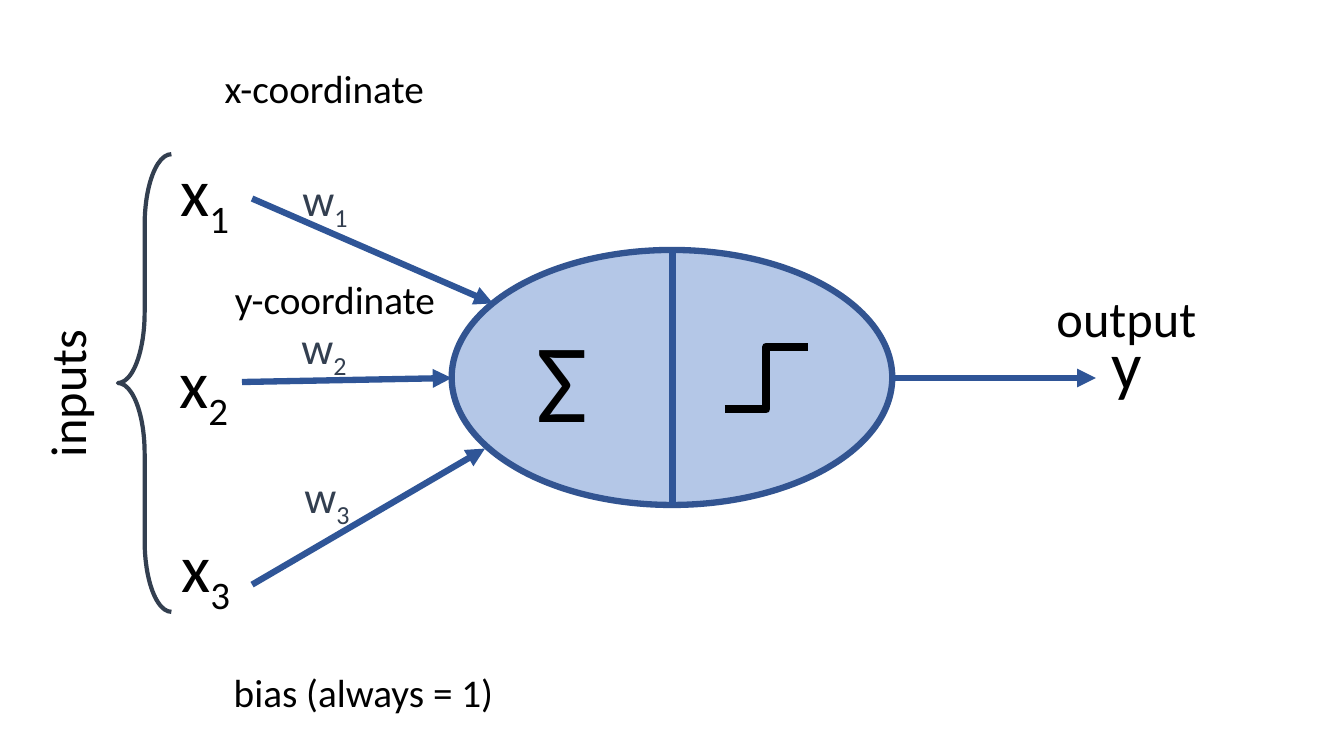
from pptx import Presentation
from pptx.dml.color import RGBColor
from pptx.enum.shapes import MSO_CONNECTOR, MSO_SHAPE
from pptx.enum.text import MSO_AUTO_SIZE
from pptx.oxml.ns import qn
from pptx.util import Pt
from lxml import etree

STRAIGHT, ELBOW = MSO_CONNECTOR.STRAIGHT, MSO_CONNECTOR.ELBOW
OVAL, BRACE = MSO_SHAPE.OVAL, MSO_SHAPE.LEFT_BRACE
GROW = MSO_AUTO_SIZE.SHAPE_TO_FIT_TEXT
SCALE = 9144  # 100 px to the inch
BLACK, BLUE, RIM, PALE, SLATE = "000000", "2F5597", "325491", "B4C7E7", "333F50"


def px(*sizes):
    return [size * SCALE for size in sizes]


def tint(code):
    return RGBColor.from_string(code)


def label(slide, text, box, size=28, color=BLACK, sub="", turn=0):
    shape = slide.shapes.add_textbox(*px(*box))
    shape.rotation = turn
    frame = shape.text_frame
    frame.word_wrap = False
    frame.auto_size = GROW
    for part in filter(None, (text, sub)):
        run = frame.paragraphs[0].add_run()
        run.text = part
        run.font.name = "Calibri"
        run.font.size = Pt(size)
        run.font.color.rgb = tint(color)
    if sub:
        run._r.get_or_add_rPr().set("baseline", "-25000")


def line(slide, start, end, color=BLUE, width=4.5, kind=STRAIGHT, arrow=False):
    link = slide.shapes.add_connector(kind, *px(*start, *end))
    link.line.color.rgb = tint(color)
    link.line.width = Pt(width)
    props = link._element.spPr
    if arrow:
        etree.SubElement(props.find(qn("a:ln")), qn("a:tailEnd"), type="triangle")
    etree.SubElement(props, qn("a:effectLst"))


def outline(slide, kind, box, color, width, fill=None):
    shape = slide.shapes.add_shape(kind, *px(*box))
    shape.shadow.inherit = False
    if fill:
        shape.fill.solid()
        shape.fill.fore_color.rgb = tint(fill)
    else:
        shape.fill.background()
    shape.line.color.rgb = tint(color)
    shape.line.width = Pt(width)
    return shape


def neuron(slide, x, y, w, h):
    outline(slide, OVAL, (x, y, w, h), RIM, 4.5, PALE)
    mid = x + w // 2 + 1
    line(slide, (mid, y), (mid, y + h))
    # Sum on the left, step function on the right
    label(slide, "Σ", (x + 74, y + 55, 72, 145), size=80)
    line(slide, (mid + 52, y + 158), (mid + 134, y + 96), BLACK, 6, ELBOW)


def inputs(slide, x, y, w, h):
    # Brace and its title
    brace = outline(slide, BRACE, (x, y, 53, h), SLATE, 3)
    brace.adjustments[0] = 1.325
    brace.adjustments[1] = 0.5
    label(slide, "inputs", (x - 125, y + 201, 148, 71), size=36, turn=270)
    # One row per input: name corner, weight corner, arrow start and end
    rows = [
        ((52, -10), (173, 12), (133, 44), (w + 41, 148)),
        ((51, 181), (172, 159), (123, 226), (w, 222)),
        ((53, 363), (175, 307), (133, 427), (w + 33, 292)),
    ]
    for num, (name, weight, start, end) in enumerate(rows, 1):
        line(slide, (x + start[0], y + start[1]), (x + end[0], y + end[1]), arrow=True)
        label(slide, "x", (x + name[0], y + name[1], 72, 91), size=48, sub=str(num))
        label(slide, "w", (x + weight[0], y + weight[1], 68, 64), size=32,
              color=SLATE, sub=str(num))
    # Meaning of each input
    label(slide, "x-coordinate", (x + 96, y - 94, 221, 57))
    label(slide, "y-coordinate", (x + 106, y + 115, 222, 57))
    label(slide, "bias (always = 1)", (x + 105, y + 505, 280, 57))


def output(slide, x, y, w):
    line(slide, (x, y), (x + w, y), arrow=True)
    label(slide, "output", (x + 153, y - 95, 160, 71), size=36)
    label(slide, "y", (x + w + 6, y - 60, 51, 91), size=48)


def main():
    deck = Presentation()
    deck.slide_width, deck.slide_height = px(1333, 750)
    slide = deck.slides.add_slide(deck.slide_layouts[6])
    neuron(slide, 448, 248, 437, 253)
    inputs(slide, 117, 153, 331, 454)
    output(slide, 885, 375, 202)
    deck.save("out.pptx")


if __name__ == "__main__":
    main()
